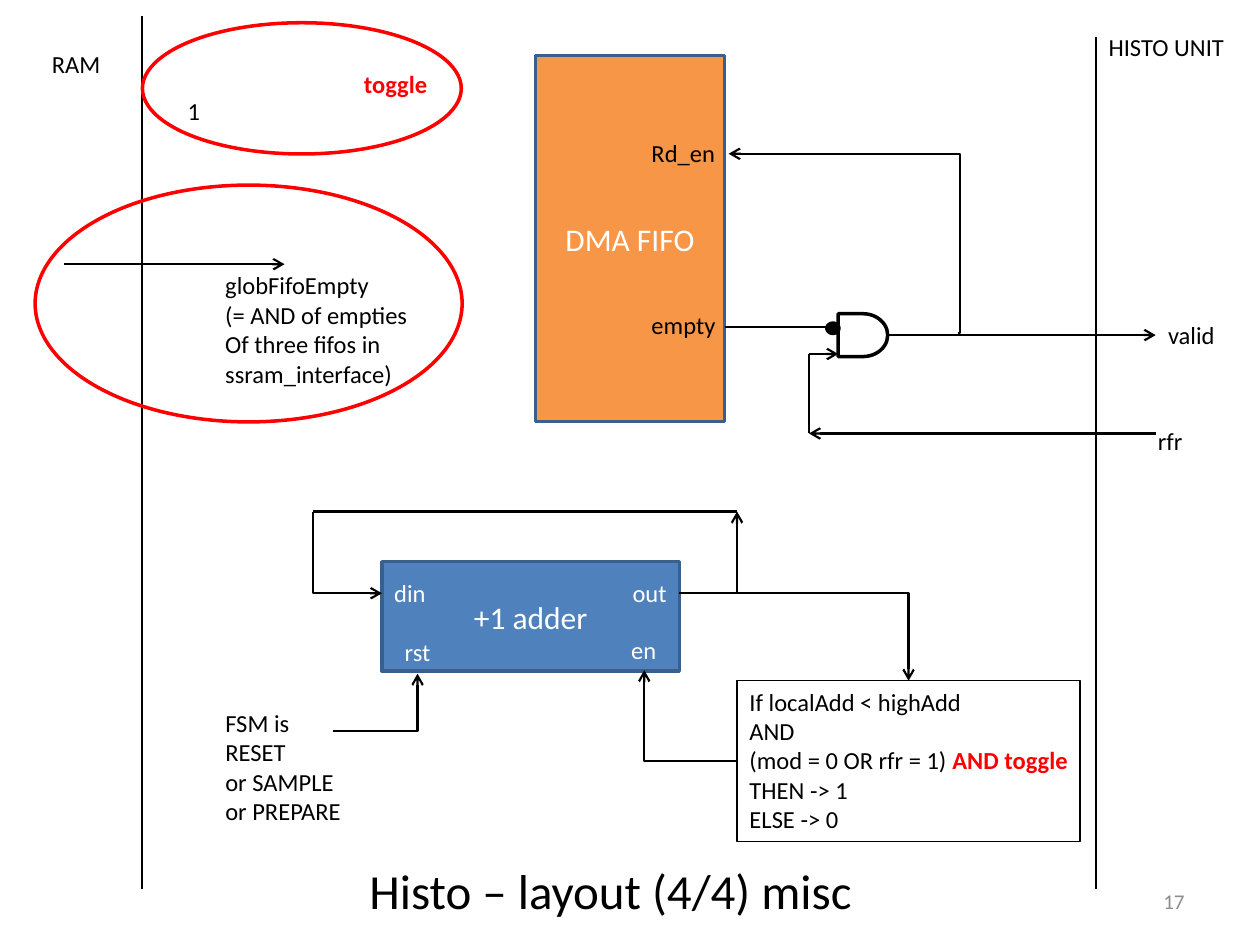
from lxml.etree import SubElement
from pptx import Presentation
from pptx.dml.color import RGBColor
from pptx.enum.shapes import MSO_CONNECTOR, MSO_SHAPE
from pptx.enum.text import MSO_ANCHOR, PP_ALIGN
from pptx.oxml.ns import qn
from pptx.util import Pt

HUES = {"ink": "000000", "paper": "FFFFFF", "red": "FF0000", "orange": "F79646",
        "blue": "4F81BD", "edge": "3A5F8C", "gray": "8C8C8C"}


def hue(name):
    return RGBColor.from_string(HUES[name])


def style(font, size=14, color="ink", bold=False):
    for key, val in {"name": "Calibri", "size": Pt(size), "bold": bold}.items():
        setattr(font, key, val)
    font.color.rgb = hue(color)


def write(shape, lines, size=14, color="ink", bold=False, align=PP_ALIGN.LEFT,
          anchor=MSO_ANCHOR.TOP, wrap=False):
    """Each line is a string, or a list of (text, color, bold) runs."""
    frame = shape.text_frame
    for key, val in {"word_wrap": wrap, "vertical_anchor": anchor}.items():
        setattr(frame, key, val)
    for i, line in enumerate(lines):
        para = frame.add_paragraph() if i else frame.paragraphs[0]
        para.alignment = align
        for text, tint, heavy in [(line, color, bold)] if isinstance(line, str) else line:
            run = para.add_run()
            run.text = text
            style(run.font, size, tint, heavy)


def label(slide, x, y, w, lines, h=24, **form):
    box = slide.shapes.add_textbox(Pt(x), Pt(y), Pt(w), Pt(h))
    write(box, lines, **form)


def block(slide, kind, box, fill=None, line="ink", width=2):
    shape = slide.shapes.add_shape(kind, *map(Pt, box))
    shape.shadow.inherit = False
    if fill:
        shape.fill.solid()
        shape.fill.fore_color.rgb = hue(fill)
    else:
        shape.fill.background()
    shape.line.color.rgb = hue(line)
    shape.line.width = Pt(width)
    return shape


def wire(slide, start, end, arrow=True, kind=MSO_CONNECTOR.STRAIGHT):
    piece = slide.shapes.add_connector(kind, *map(Pt, (*start, *end)))
    piece.line.color.rgb = hue("ink")
    piece.line.width = Pt(1.25)
    props = piece._element.spPr
    SubElement(props, qn("a:effectLst"))
    if arrow:
        SubElement(props.find(qn("a:ln")), qn("a:tailEnd"), type="arrow")
    return props


def bend(slide, start, end):
    """One corner: across first, then up or down."""
    props = wire(slide, start, end, kind=MSO_CONNECTOR.ELBOW)
    props.find(qn("a:prstGeom")).set("prst", "bentConnector2")
    return props


def drop(slide, start, end):
    """One corner: down first, then right, as a bend turned by 270 degrees."""
    (ax, ay), (bx, by) = start, end
    mx, my = (ax + bx) / 2, (ay + by) / 2
    dx, dy = (by - ay) / 2, (bx - ax) / 2
    props = bend(slide, (mx + dx, my - dy), (mx - dx, my + dy))
    props.find(qn("a:xfrm")).set("rot", str(270 * 60000))


def loop(slide, start, end, adj):
    """Two corners, with the upright at adj thousandths of a percent."""
    geom = wire(slide, start, end, kind=MSO_CONNECTOR.ELBOW).find(qn("a:prstGeom"))
    marks = geom.find(qn("a:avLst"))
    if marks is None:
        marks = SubElement(geom, qn("a:avLst"))
    SubElement(marks, qn("a:gd"), name="adj1", fmla=f"val {adj}")


def unit(slide, box, fill, name, pins, color):
    """A named block with pin labels as (text, dx, dy, width)."""
    x, y = box[:2]
    shape = block(slide, MSO_SHAPE.RECTANGLE, box, fill, "edge")
    write(shape, [name], size=18, color="paper", align=PP_ALIGN.CENTER,
          anchor=MSO_ANCHOR.MIDDLE, wrap=True)
    for text, dx, dy, w in pins:
        label(slide, x + dx, y + dy, w, [text], color=color)


def fifo(slide, x, y, w, h):
    pins = [("Rd_en", 59.2, 43.5, 51), ("empty", 59.2, 141.7, 51)]
    unit(slide, (x, y, w, h), "orange", "DMA FIFO", pins, "ink")
    wire(slide, (x + w, y + 155.3), (x + 173, y + 155.3), arrow=False)


def gate(slide, x, y, w, h):
    block(slide, MSO_SHAPE.OVAL, (x - 6, y + 5.8, 6, 5), "ink", width=3)
    block(slide, MSO_SHAPE.FLOWCHART_DELAY, (x, y, w, h))
    out, back, low = x + 181.4, x - 16.7, y + 68.4
    wire(slide, (x + w, y + 12.2), (out, y + 12.2))
    wire(slide, (out, low), (back, low))
    wire(slide, (back, low), (back, y + 23), arrow=False)
    wire(slide, (back, y + 23), (x, y + 23))
    loop(slide, (x + 68.4, y + 10.8), (x - 62.6, y - 91.4), -1100)
    label(slide, out, y, 42, ["valid"])
    label(slide, out - 5.8, y + 60.5, 29, ["rfr"])


def adder(slide, x, y, w, h):
    pins = [("din", 0, 6, 33), ("out", 136.2, 6, 35), ("rst", 6, 39.5, 30),
            ("en", 135.4, 38.3, 29)]
    unit(slide, (x, y, w, h), "blue", "+1 adder", pins, "paper")
    left, right, top, mid = x - 39.6, x + 203, y - 28.7, y + 18
    wire(slide, (left, top), (right, top), arrow=False)
    bend(slide, (x + w, mid), (right, top))
    drop(slide, (left, top), (x, mid))
    bend(slide, (right, mid), (x + 301, y + 68))
    bend(slide, (right, y + 114), (x + 150, y + 62))
    bend(slide, (x - 28, y + 96.5), (x + 20.4, y + 64))
    label(slide, x - 96.5, y + 80, 81, ["FSM is ", "RESET", "or SAMPLE", "or PREPARE"], h=75)


def rule(slide, *box):
    shape = block(slide, MSO_SHAPE.RECTANGLE, box, width=0.75)
    write(shape, ["If localAdd < highAdd ", "AND",
                  [("(mod = 0 OR rfr = 1) ", "ink", False), ("AND toggle", "red", True)],
                  "THEN -> 1", "ELSE -> 0"])


def empties(slide, x, y, w, h):
    wire(slide, (x + 16.7, y + 45.2), (x + 142.5, y + 45.2))
    label(slide, x + 101.5, y + 45.2, 120,
          ["globFifoEmpty", "(= AND of empties", "Of three fifos in ", "ssram_interface)"], h=75)
    block(slide, MSO_SHAPE.OVAL, (x, y, w, h), line="red")


def toggle(slide, x, y, w, h):
    label(slide, x + 18.7, y + 38.3, 22, ["1"])
    label(slide, x + 119.5, y + 23, 52, ["toggle"], color="red", bold=True)
    block(slide, MSO_SHAPE.OVAL, (x, y, w, h), line="red")


def bounds(slide, left, right, foot):
    wire(slide, (left, 9), (left, foot), arrow=False)
    wire(slide, (right, 21), (right, foot), arrow=False)
    label(slide, left - 58.8, 24.5, 43, ["RAM"])
    label(slide, right, 15, 81, ["HISTO UNIT"])


def footer(slide, x, y, w, h):
    title = slide.shapes.title
    for key, val in {"left": x, "top": y, "width": w, "height": h}.items():
        setattr(title, key, Pt(val))
    write(title, ["Histo – layout (4/4) misc"], size=28, align=PP_ALIGN.CENTER,
          anchor=MSO_ANCHOR.MIDDLE, wrap=True)
    label(slide, 516, y + 11.5, 168, ["17"], h=29, size=12, color="gray",
          align=PP_ALIGN.RIGHT, anchor=MSO_ANCHOR.MIDDLE, wrap=True)


deck = Presentation()
deck.slide_width, deck.slide_height = Pt(720), Pt(540)
page = deck.slides.add_slide(deck.slide_layouts[5])

# Frame: unit borders, title and page number
bounds(page, 81.3, 626.4, 508)
footer(page, 76.3, 488.8, 545, 39)

# Read path
fifo(page, 306, 31.8, 108, 209)
gate(page, 479, 179.3, 28.3, 24.5)

# Address counter
adder(page, 218.2, 321, 170, 62.6)
rule(page, 421.2, 388.8, 196, 92)

# Circled signals
empties(page, 20.1, 105.8, 244, 135.3)
toggle(page, 81.4, 13, 182.2, 75)

deck.save("out.pptx")
